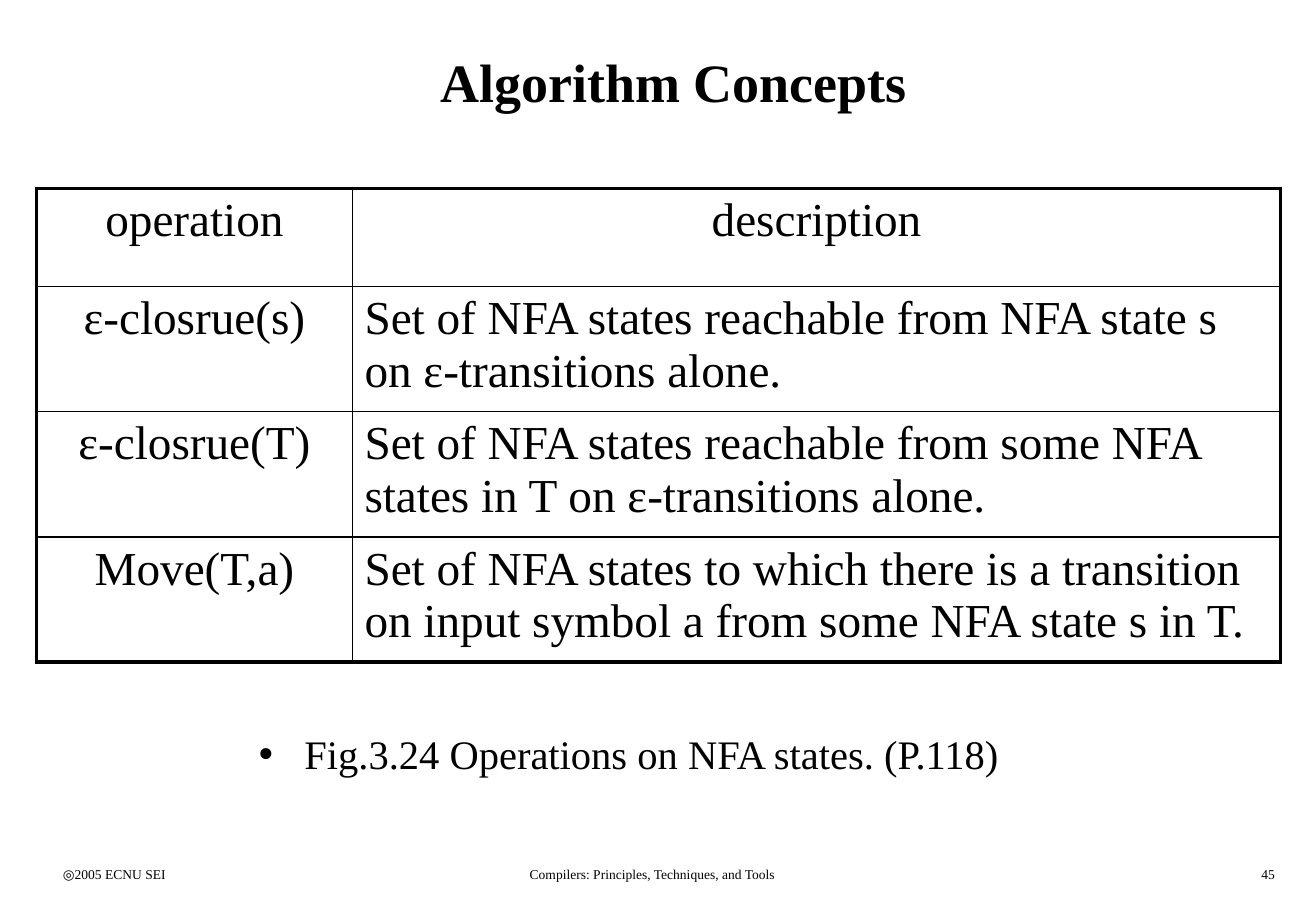
from lxml.etree import SubElement
from pptx import Presentation
from pptx.dml.color import RGBColor
from pptx.enum.text import MSO_ANCHOR, MSO_AUTO_SIZE, PP_ALIGN
from pptx.oxml.ns import qn
from pptx.util import Inches, Pt

COLORS = {"ink": "000000", "paper": "FFFFFF"}
INK = RGBColor.from_string(COLORS["ink"])


def write(frame, text, size, align, bold=False):
    frame.word_wrap = True
    frame.text = text
    para = frame.paragraphs[0]
    para.alignment = align
    para.space_before = Pt(0)
    para.font.name = "Times New Roman"
    para.font.size = Pt(size)
    para.font.bold = bold
    para.font.color.rgb = INK


def border(cell, side, width):
    line = SubElement(cell._tc.get_or_add_tcPr(), qn(f"a:ln{side}"), w=str(Pt(width)))
    fill = SubElement(line, qn("a:solidFill"))
    SubElement(fill, qn("a:srgbClr"), val=COLORS["ink"])


deck = Presentation()
deck.slide_width, deck.slide_height = Inches(10.83), Inches(7.5)
slide = deck.slides.add_slide(deck.slide_layouts[1])
slide.background.fill.solid()
slide.background.fill.fore_color.rgb = RGBColor.from_string(COLORS["paper"])

title, body = slide.placeholders
title.left, title.top, title.width, title.height = map(Inches, (0.42, 0.17, 10.25, 1))
title.text_frame.auto_size = MSO_AUTO_SIZE.NONE
title.text_frame.vertical_anchor = MSO_ANCHOR.MIDDLE
write(title.text_frame, "Algorithm Concepts", 32, PP_ALIGN.CENTER, True)

body.left, body.top, body.width, body.height = map(Inches, (2.03, 5.95, 6.3, 0.55))
body.text_frame.auto_size = MSO_AUTO_SIZE.NONE
props = body.text_frame.paragraphs[0]._p.get_or_add_pPr()
props.set("marL", str(Inches(0.38)))
props.set("indent", str(Inches(-0.38)))
SubElement(props, qn("a:buNone"))
write(body.text_frame, "Fig.3.24 Operations on NFA states. (P.118)", 24, PP_ALIGN.LEFT)

rows = [
    ("operation", "description"),
    ("ε-closrue(s)", "Set of NFA states reachable from NFA state s on ε-transitions alone."),
    ("ε-closrue(T)", "Set of NFA states reachable from some NFA states in T on ε-transitions alone."),
    ("Move(T,a)", "Set of NFA states to which there is a transition on input symbol a from some NFA state s in T."),
]
last = len(rows) - 1
table = slide.shapes.add_table(
    len(rows), 2, Inches(0.3), Inches(1.55), Inches(10.24), Inches(3.9)
).table
table.horz_banding = False
table.first_row = False
for col, width in zip(table.columns, (2.6, 7.64)):
    col.width = Inches(width)
for r, texts in enumerate(rows):
    table.rows[r].height = Inches(1.03 if r else 0.81)
    for c, text in enumerate(texts):
        cell = table.cell(r, c)
        edges = {"L": c == 0, "R": c == 1, "T": r == 0, "B": r == last}
        for side, outer in edges.items():
            border(cell, side, 2.25 if outer else 1)
        cell.fill.background()
        align = PP_ALIGN.LEFT if r and c else PP_ALIGN.CENTER
        write(cell.text_frame, text, 28, align)

for left, width, text, align in (
    (0.42, 2.26, "◎2005 ECNU SEI", PP_ALIGN.LEFT),
    (3.34, 4.06, "Compilers: Principles, Techniques, and Tools", PP_ALIGN.CENTER),
    (8.33, 2.26, "45", PP_ALIGN.RIGHT),
):
    box = slide.shapes.add_textbox(Inches(left), Inches(7.08), Inches(width), Inches(0.25))
    write(box.text_frame, text, 8, align)

deck.save("out.pptx")
